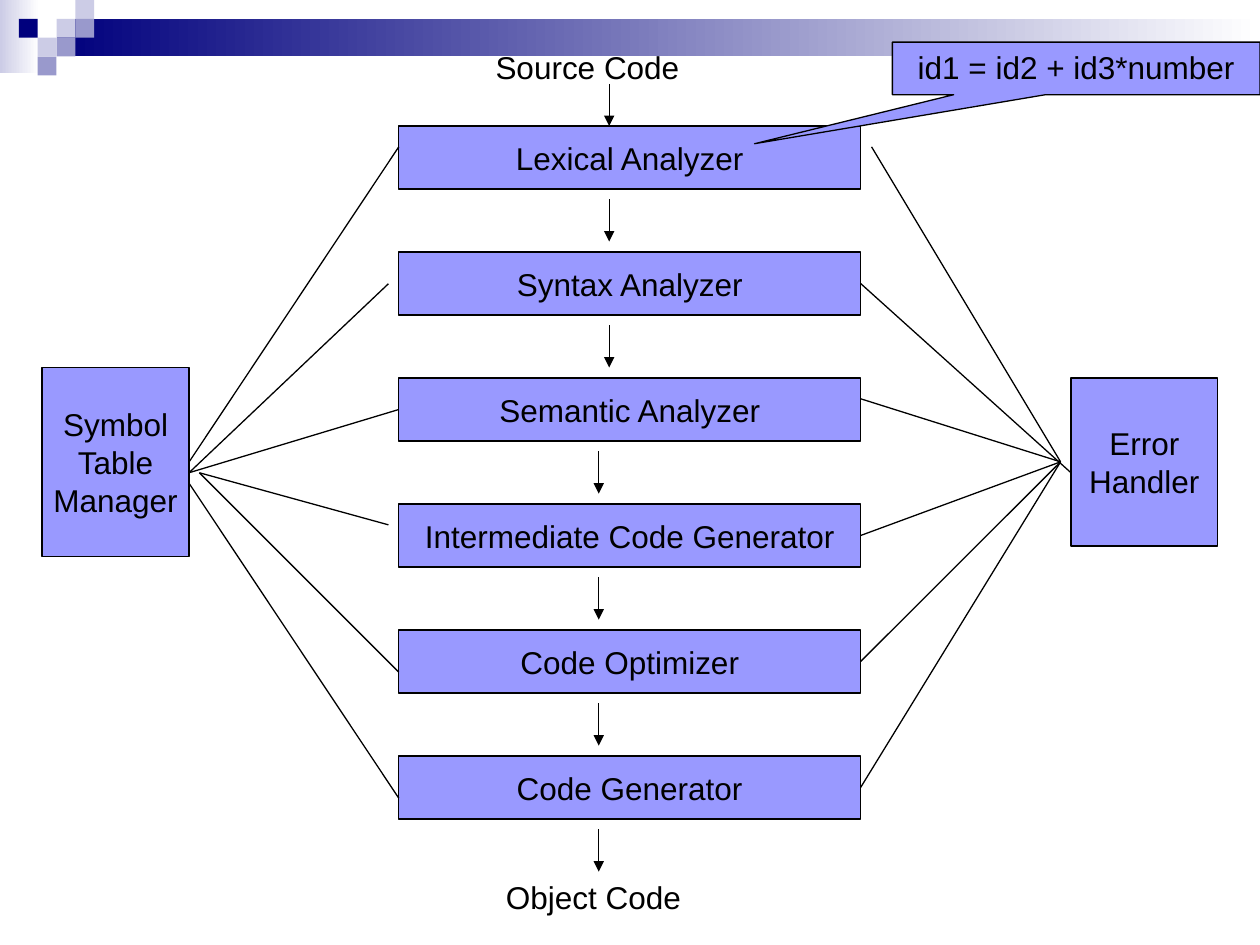
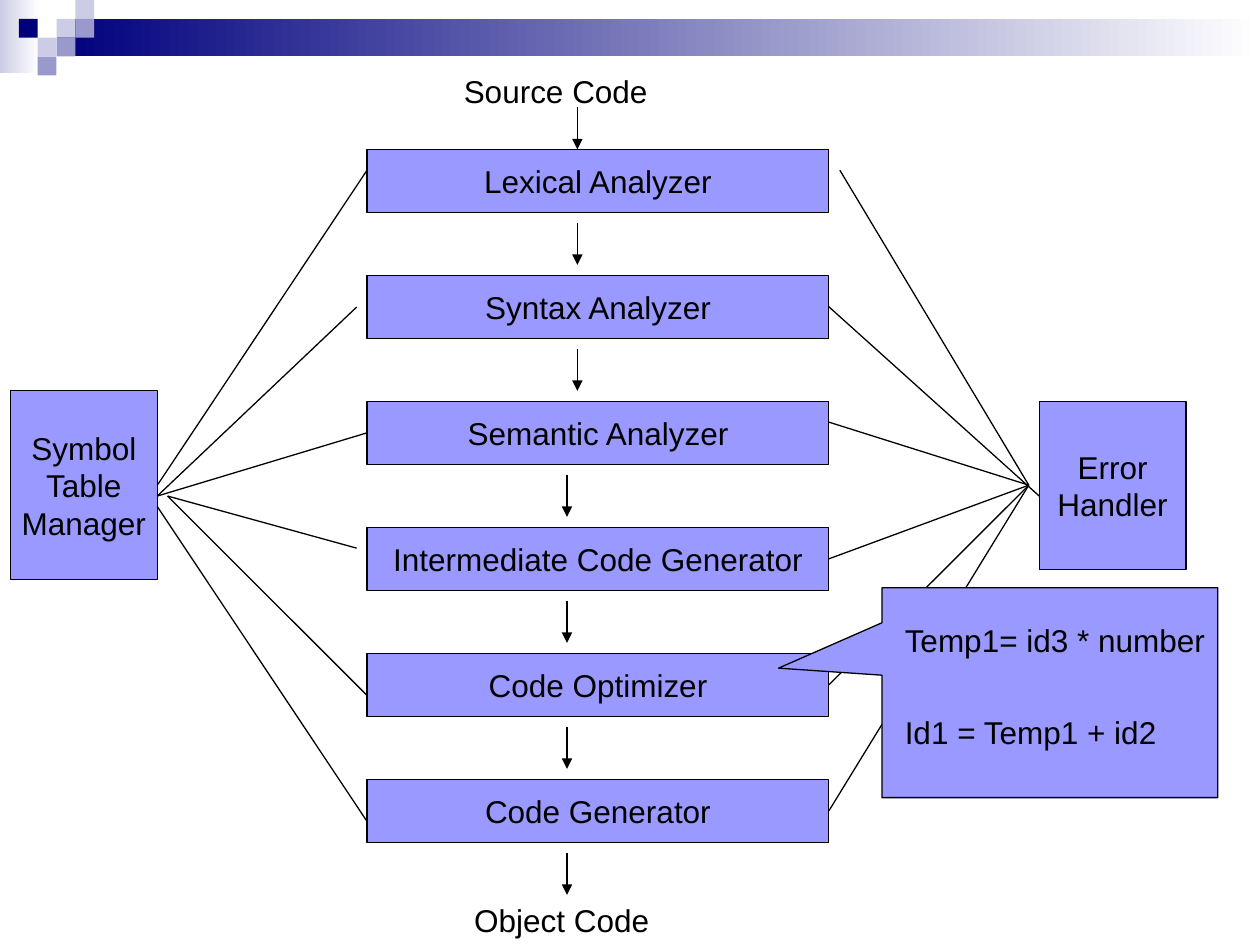
from pptx import Presentation
from pptx.dml.color import RGBColor
from pptx.enum.shapes import MSO_CONNECTOR, MSO_SHAPE
from pptx.enum.text import MSO_ANCHOR, PP_ALIGN
from pptx.oxml.ns import qn
from pptx.util import Cm, Pt
from lxml import etree

RECTANGLE = MSO_SHAPE.RECTANGLE
CALLOUT = MSO_SHAPE.RECTANGULAR_CALLOUT
STRAIGHT = MSO_CONNECTOR.STRAIGHT
LEFT, CENTER = PP_ALIGN.LEFT, PP_ALIGN.CENTER
TOP, MIDDLE = MSO_ANCHOR.TOP, MSO_ANCHOR.MIDDLE
LEFT_SIDE, RIGHT_SIDE = 1, 3

BLACK = RGBColor(0x00, 0x00, 0x00)
WHITE = RGBColor(0xFF, 0xFF, 0xFF)
NAVY = RGBColor(0x00, 0x00, 0x7D)
PALE = RGBColor(0xCC, 0xCC, 0xE6)
MUTED = RGBColor(0x99, 0x99, 0xCC)
PERIWINKLE = RGBColor(0x99, 0x99, 0xFF)

# All lengths are centimetres
SQUARE = 0.38
SQUARES = [(3, 1, PALE), (4, 0, PALE), (4, 1, MUTED), (2, 2, PALE),
           (1, 1, NAVY), (3, 2, MUTED), (2, 3, MUTED)]
STAGES = ["Lexical Analyzer", "Syntax Analyzer", "Semantic Analyzer",
          "Intermediate Code Generator", "Code Optimizer", "Code Generator"]
STAGE_LEFT, STAGE_WIDTH, STAGE_HEIGHT, PITCH = 8.04, 9.31, 1.27, 2.54
STAGE_RIGHT = STAGE_LEFT + STAGE_WIDTH
ARROW_LENGTH = 0.85


class Deck:
    def __init__(self):
        self.file = Presentation()
        self.file.slide_width, self.file.slide_height = Cm(25.4), Cm(19.05)
        self.page = None
        self.origin = (0, 0)

    def new_page(self):
        """Start a page with the shared band and corner squares."""
        self.page = self.file.slides.add_slide(self.file.slide_layouts[6])
        self.origin = (0, 0)
        self.fade(0, 0, 0.79, 1.47, PALE)
        self.fade(3 * SQUARE, SQUARE, 24.26, 0.76, NAVY)
        for column, row, color in SQUARES:
            self.shape(column * SQUARE, row * SQUARE, SQUARE, SQUARE, color)

    def place(self, x, y):
        return Cm(x + self.origin[0]), Cm(y + self.origin[1])

    def shape(self, x, y, width, height, color, kind=RECTANGLE):
        shape = self.page.shapes.add_shape(
            kind, *self.place(x, y), Cm(width), Cm(height))
        shape.shadow.inherit = False
        shape.fill.solid()
        shape.fill.fore_color.rgb = color
        shape.line.fill.background()
        return shape

    def fade(self, x, y, width, height, color):
        band = self.shape(x, y, width, height, color)
        band.fill.gradient()
        band.fill.gradient_angle = 0
        for stop, shade in zip(band.fill.gradient_stops, (color, WHITE)):
            stop.color.rgb = shade

    def set_text(self, box, text, align, anchor=TOP, wrap=True, gap=0):
        frame = box.text_frame
        frame.text = text
        frame.word_wrap = wrap
        frame.vertical_anchor = anchor
        for number, para in enumerate(frame.paragraphs):
            para.alignment = align
            if number:
                para.space_before = Pt(gap)
            for span in para.runs:
                span.font.name = "Arial"
                span.font.size = Pt(18)
                span.font.color.rgb = BLACK

    def outlined(self, x, y, width, height, kind=RECTANGLE):
        box = self.shape(x, y, width, height, PERIWINKLE, kind)
        box.line.color.rgb = BLACK
        box.line.width = Pt(0.75)
        return box

    def box(self, x, y, width, height, text):
        box = self.outlined(x, y, width, height)
        self.set_text(box, text, CENTER, MIDDLE, wrap=False)
        return box

    def callout(self, x, y, width, height, tip):
        balloon = self.outlined(x, y, width, height, CALLOUT)
        balloon.adjustments[0], balloon.adjustments[1] = tip
        return balloon

    def label(self, x, y, width, height, text, gap=0):
        box = self.page.shapes.add_textbox(
            *self.place(x, y), Cm(width), Cm(height))
        self.set_text(box, text, LEFT, gap=gap)

    def line(self, start, end, start_box=None, end_box=None, arrow=False):
        """Draw a line; joined lines leave a right side and reach a left one."""
        line = self.page.shapes.add_connector(
            STRAIGHT, *self.place(*start), *self.place(*end))
        if start_box:
            line.begin_connect(start_box, RIGHT_SIDE)
        if end_box:
            line.end_connect(end_box, LEFT_SIDE)
        line.line.color.rgb = BLACK
        line.line.width = Pt(0.75)
        properties = line.element.spPr
        if arrow:
            outline = properties.find(qn("a:ln"))
            etree.SubElement(outline, qn("a:tailEnd"), type="triangle")
        etree.SubElement(properties, qn("a:effectLst"))

    def compiler_phases(self, origin):
        """Draw the whole compiler diagram, shifted by origin."""
        self.origin = origin

        # Stages from source code to object code
        self.label(9.74, 0.85, 6.14, 1.02, "Source Code")
        stages = [self.box(STAGE_LEFT, (row + 1) * PITCH, STAGE_WIDTH,
                           STAGE_HEIGHT, name)
                  for row, name in enumerate(STAGES)]
        self.label(9.95, 17.57, 6.14, 1.02, "Object Code")

        # Arrows down the middle
        arrow_tops = [1.69] + [4.02 + row * PITCH for row in range(len(STAGES))]
        for number, top in enumerate(arrow_tops):
            x = 12.28 if number < 3 else 12.07
            self.line((x, top), (x, top + ARROW_LENGTH), arrow=True)

        # Side boxes
        symbols = self.box(0.85, 7.41, 2.96, 3.81, "Symbol\nTable\nManager")
        self.box(21.59, 7.62, 2.96, 3.39, "Error\nHandler")

        # Lines from the symbol table to the stages
        near, inset = (3.81, 9.53), (4.02, 9.53)
        self.line(near, (STAGE_LEFT, 8.26), end_box=stages[2])
        self.line(inset, (7.83, 10.58))
        self.line(near, (7.83, 5.72))
        self.line((3.81, 9.31), (STAGE_LEFT, 2.96), start_box=symbols)
        self.line(inset, (STAGE_LEFT, 13.55))
        self.line((3.81, 9.74), (STAGE_LEFT, 16.09))

        # Lines from the stages to the error handler
        hub = (21.38, 9.31)
        for row, end in ((3, hub), (4, hub), (5, hub), (1, (21.59, 9.53))):
            middle = (row + 1) * PITCH + STAGE_HEIGHT / 2
            self.line((STAGE_RIGHT, middle), end, start_box=stages[row])
        self.line((STAGE_RIGHT, 8.04), hub)
        self.line((17.57, 2.96), hub)
        self.origin = (0, 0)


def main():
    deck = Deck()

    # Input of the lexical analyzer
    deck.new_page()
    deck.compiler_phases((0, 0))
    statement = deck.callout(17.99, 0.85, 7.41, 1.06, (-0.875, 1.433))
    deck.set_text(statement, "id1 = id2 + id3*number", CENTER)

    # Output of the code optimizer
    deck.new_page()
    deck.compiler_phases((-0.64, 0.47))
    deck.callout(17.78, 11.85, 6.77, 4.23, (-0.808, -0.117))
    deck.label(17.99, 12.4, 6.77, 3.05,
               "Temp1= id3 * number\nId1 = Temp1 + id2", gap=31)

    deck.file.save("out.pptx")


if __name__ == "__main__":
    main()
